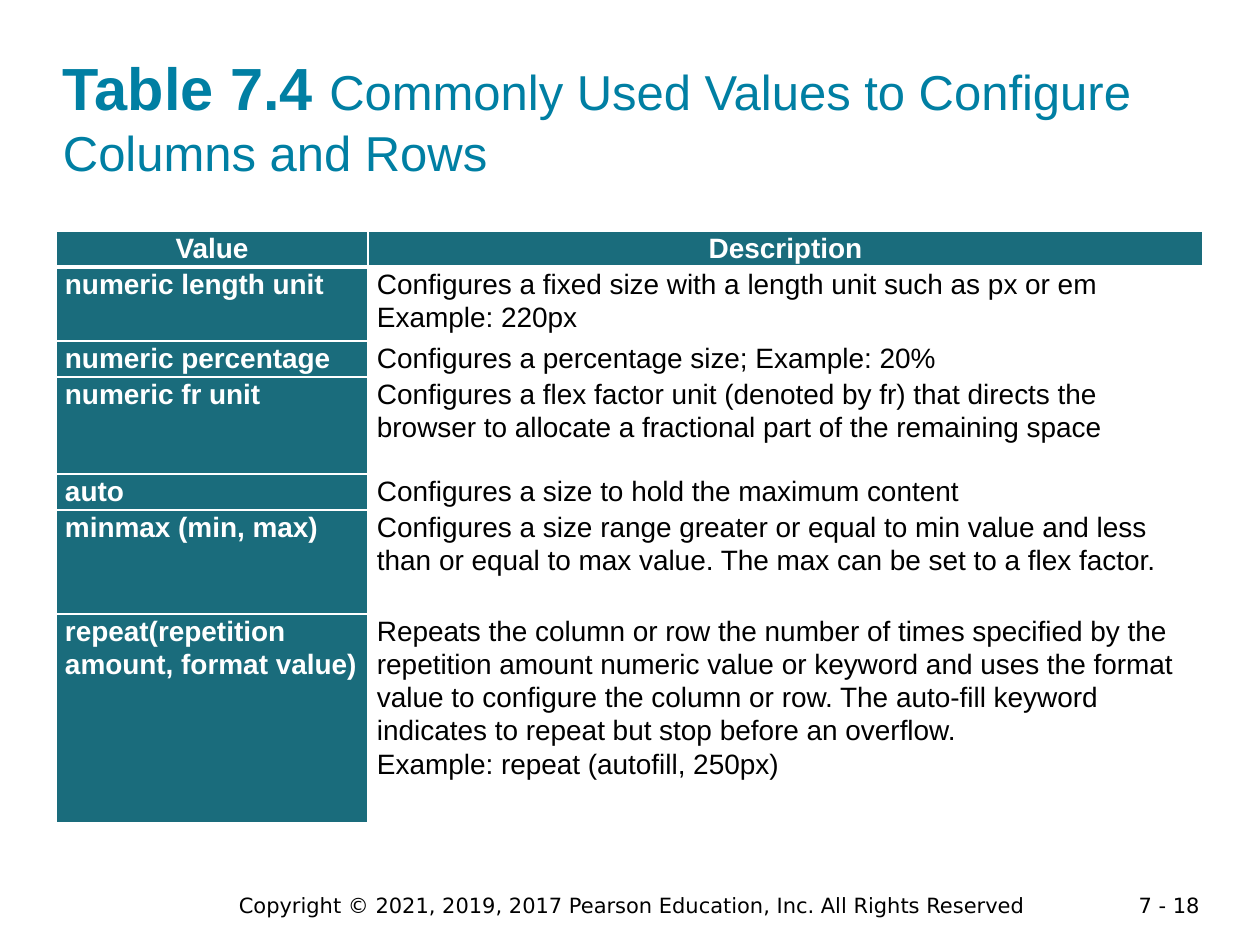
"""Build the slide of common values for configuring grid columns and rows."""
from dataclasses import dataclass
from typing import NamedTuple

from lxml.etree import SubElement
from pptx import Presentation
from pptx.dml.color import RGBColor
from pptx.enum.text import MSO_ANCHOR, PP_ALIGN
from pptx.oxml.ns import qn
from pptx.util import Emu, Pt


@dataclass(frozen=True)
class Theme:
    heading: str = "007FA3"
    label_fill: str = "1A6C7C"
    light: str = "FFFFFF"
    dark: str = "000000"
    body_font: str = "Arial"
    footer_font: str = "DejaVu Sans"
    label_size: int = 34
    title_size: int = 28
    table_size: int = 16
    footer_size: int = 12
    line_spacing: float = 1.07
    thin_line: int = 1
    thick_line: int = 3


class Area(NamedTuple):
    left: int
    top: int
    width: int
    height: int


class ValueRow(NamedTuple):
    value: str
    description: str
    height: int


class Footer(NamedTuple):
    text: str
    area: Area
    align: PP_ALIGN


THEME = Theme()
PIXELS_PER_INCH = 126
SLIDE_WIDTH, SLIDE_HEIGHT = 1260, 945
TITLE_AREA = Area(63, 30, 1134, 151)
TABLE_LEFT, TABLE_TOP = 56, 231
COLUMN_WIDTHS = (312, 835)
CELL_MARGIN = 9

ROWS = (
    ValueRow("Value", "Description", 36),
    ValueRow("numeric length unit",
             "Configures a fixed size with a length unit such as px or em\n"
             "Example: 220px", 74),
    ValueRow("numeric percentage", "Configures a percentage size; Example: 20%", 36),
    ValueRow("numeric fr unit",
             "Configures a flex factor unit (denoted by fr) that directs the browser "
             "to allocate a fractional part of the remaining space", 97),
    ValueRow("auto", "Configures a size to hold the maximum content", 36),
    ValueRow("minmax (min, max)",
             "Configures a size range greater or equal to min value and less than or "
             "equal to max value. The max can be set to a flex factor.", 104),
    ValueRow("repeat(repetition amount, format value)",
             "Repeats the column or row the number of times specified by the repetition "
             "amount numeric value or keyword and uses the format value to configure the "
             "column or row. The auto-fill keyword indicates to repeat but stop before an "
             "overflow.\nExample: repeat (autofill, 250px)", 209),
)

FOOTERS = (
    Footer("7 - 18", Area(1086, 886, 126, 28), PP_ALIGN.RIGHT),
    Footer("Copyright © 2021, 2019, 2017 Pearson Education, Inc. All Rights Reserved",
           Area(207, 886, 850, 38), PP_ALIGN.CENTER),
)


def px(length: int) -> Emu:
    """Turn pixels into EMU."""
    return Emu(round(length * 914400 / PIXELS_PER_INCH))


def write(para, text: str, *, size: int, color: str, font: str = THEME.body_font,
          bold: bool = False, align: PP_ALIGN = PP_ALIGN.LEFT) -> None:
    """Add formatted text to a paragraph, with a line break at each newline."""
    para.alignment = align
    for index, line in enumerate(text.split("\n")):
        if index:
            para.add_line_break()
        span = para.add_run()
        span.text = line
        span.font.name = font
        span.font.size = Pt(size)
        span.font.bold = bold
        span.font.color.rgb = RGBColor.from_string(color)


def add_box(page, area: Area):
    """Add a wrapping text box and return its text frame."""
    frame = page.shapes.add_textbox(*map(px, area)).text_frame
    frame.word_wrap = True
    return frame


def add_title(page) -> None:
    """Add the two-part title, resting on the bottom of its box."""
    frame = add_box(page, TITLE_AREA)
    frame.vertical_anchor = MSO_ANCHOR.BOTTOM
    frame.margin_left = frame.margin_right = frame.margin_top = frame.margin_bottom = 0
    para = frame.paragraphs[0]
    write(para, "Table 7.4 ", size=THEME.label_size, color=THEME.heading, bold=True)
    write(para, "Commonly Used Values to Configure Columns and Rows",
          size=THEME.title_size, color=THEME.heading)


def set_border(cell, side: str, width: int) -> None:
    """Draw one side of a cell's border."""
    properties = cell._tc.get_or_add_tcPr()
    line = SubElement(properties, qn(f"a:ln{side}"), w=str(Pt(width)))
    fill = SubElement(line, qn("a:solidFill"))
    SubElement(fill, qn("a:srgbClr"), val=THEME.light)


def fill_cell(cell, text: str, *, header: bool, label: bool) -> None:
    """Give a cell its borders, fill, margins and text."""
    for side in "LRTB":
        below_header = header and side == "B"
        set_border(cell, side, THEME.thick_line if below_header else THEME.thin_line)
    cell.fill.solid()
    cell.fill.fore_color.rgb = RGBColor.from_string(
        THEME.label_fill if label else THEME.light)
    cell.margin_left = cell.margin_right = px(CELL_MARGIN)
    cell.margin_top = cell.margin_bottom = 0
    para = cell.text_frame.paragraphs[0]
    para.line_spacing = THEME.line_spacing
    write(para, text, size=THEME.table_size, bold=label,
          color=THEME.light if label else THEME.dark,
          align=PP_ALIGN.CENTER if header else PP_ALIGN.LEFT)


def add_value_table(page) -> None:
    """Add the table of values and descriptions."""
    area = Area(TABLE_LEFT, TABLE_TOP, sum(COLUMN_WIDTHS), sum(row.height for row in ROWS))
    table = page.shapes.add_table(len(ROWS), len(COLUMN_WIDTHS), *map(px, area)).table
    table.horz_banding = False
    for column, width in zip(table.columns, COLUMN_WIDTHS):
        column.width = px(width)
    for row_index, row in enumerate(ROWS):
        table.rows[row_index].height = px(row.height)
        header = row_index == 0
        for column_index, text in enumerate((row.value, row.description)):
            fill_cell(table.cell(row_index, column_index), text,
                      header=header, label=header or column_index == 0)


def add_footer(page, footer: Footer) -> None:
    """Add one footer text."""
    para = add_box(page, footer.area).paragraphs[0]
    write(para, footer.text, size=THEME.footer_size, color=THEME.dark,
          font=THEME.footer_font, align=footer.align)


def main() -> None:
    """Build and save the deck."""
    deck = Presentation()
    deck.slide_width, deck.slide_height = px(SLIDE_WIDTH), px(SLIDE_HEIGHT)
    page = deck.slides.add_slide(deck.slide_layouts[6])
    for footer in FOOTERS:
        add_footer(page, footer)
    add_title(page)
    add_value_table(page)
    deck.save("out.pptx")


if __name__ == "__main__":
    main()
